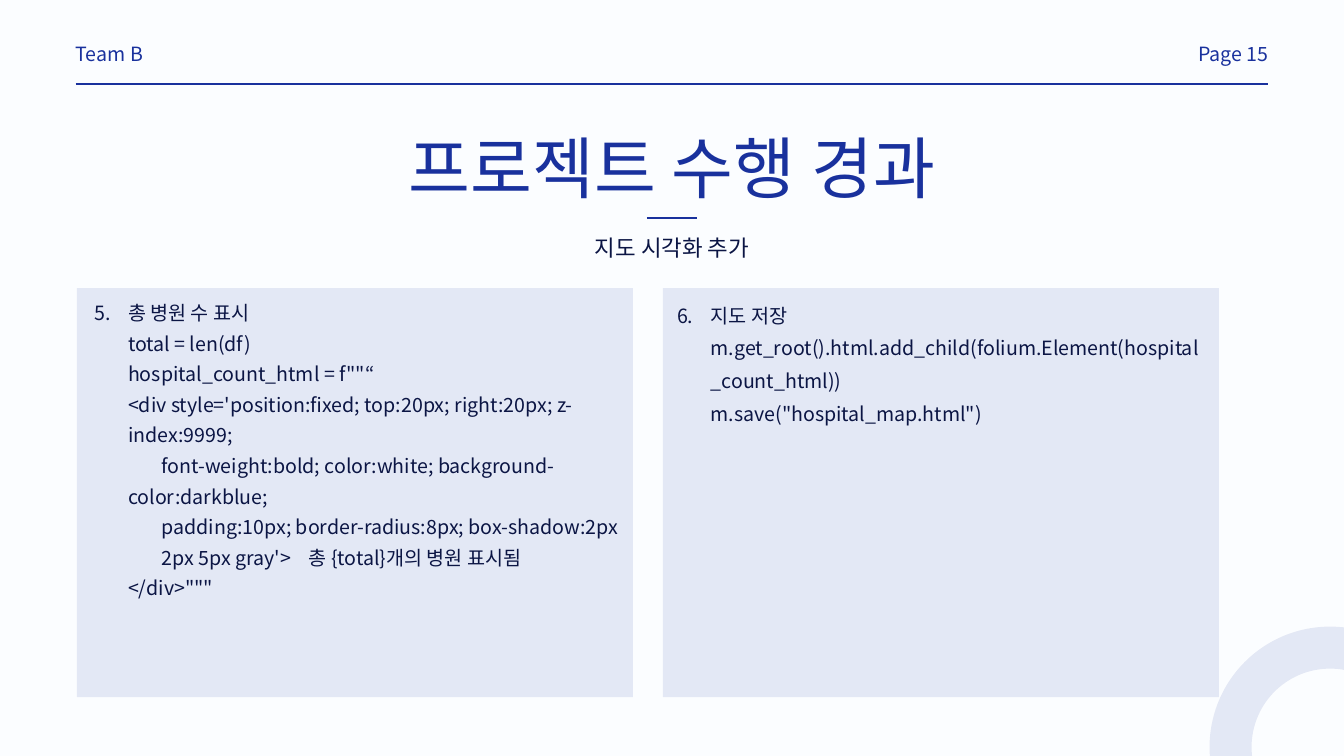
import copy

import pptx
import pptx.dml.color
import pptx.enum.shapes
import pptx.enum.text
import pptx.oxml
import pptx.oxml.ns
import pptx.util
from lxml import etree

BLUE = pptx.dml.color.RGBColor(0x19, 0x31, 0x9D)
NAVY = pptx.dml.color.RGBColor(0x0B, 0x15, 0x44)
PAPER = pptx.dml.color.RGBColor(0xFB, 0xFD, 0xFF)
SANS = "Noto Sans CJK KR"
DISPLAY = "Karla"
ALIGN = pptx.enum.text.PP_ALIGN
SHAPE = pptx.enum.shapes.MSO_SHAPE
COLUMNS, ROWS = 160, 90
LEFT, RIGHT, CENTER = 9, 151, 80
MARGIN = 0.5

COUNT_CODE = """총 병원 수 표시
total = len(df)
hospital_count_html = f""“
<div style='position:fixed; top:20px; right:20px; z-\tindex:9999;
\tfont-weight:bold; color:white; background-\tcolor:darkblue;
\tpadding:10px; border-radius:8px; box-shadow: \t2px \t2px 5px gray'>    총 {total}개의 병원 표시됨
</div>\"""
"""
SAVE_CODE = """지도 저장
m.get_root().html.add_child(folium.Element(hospital_count_html))
m.save("hospital_map.html")
"""


def grid(cells):
    return pptx.util.Inches(round(cells * 20 / COLUMNS, 3))


def place(shape, box):
    shape.left, shape.top, shape.width, shape.height = map(grid, box)


def add_child(parent, tag, **attributes):
    child = etree.SubElement(parent, pptx.oxml.ns.qn(tag))
    for name, value in attributes.items():
        child.set(name, value)
    return child


def make_translucent(color_format, percent):
    color = color_format._xFill.find(pptx.oxml.ns.qn("a:srgbClr"))
    add_child(color, "a:alpha", val=str(percent * 1000))


def number_list(para, start):
    properties = para._p.get_or_add_pPr()
    indent = pptx.util.Inches(0.5)
    properties.set("marL", str(indent))
    properties.set("indent", str(-indent))
    add_child(properties, "a:buFont", typeface=SANS)
    add_child(properties, "a:buAutoNum", type="arabicPeriod", startAt=str(start))


def write(shape, text, size=21, color=BLUE, font=SANS, align=ALIGN.LEFT, spacing=1.0, start=None):
    frame = shape.text_frame
    frame.auto_size = pptx.enum.text.MSO_AUTO_SIZE.NONE
    frame.word_wrap = True
    frame.vertical_anchor = pptx.enum.text.MSO_ANCHOR.TOP
    frame.margin_left = frame.margin_right = frame.margin_top = frame.margin_bottom = 0
    para = frame.paragraphs[0]
    para.text = text
    if start is not None:
        number_list(para, start)
    para.alignment = align
    para.line_spacing = spacing
    para.space_before = pptx.util.Pt(0)
    for span in para.runs:
        span.font.size = pptx.util.Pt(size)
        span.font.name = font
        span.font.color.rgb = color
        add_child(span._r.rPr, "a:ea", typeface=font)
    for line_break in para._p.findall(pptx.oxml.ns.qn("a:br")):
        line_break.insert(0, copy.deepcopy(para.runs[0]._r.rPr))


def add_label(page, box, text, **style):
    label = page.shapes.add_textbox(*map(grid, box))
    write(label, text, **style)


def add_rule(page, start, end, row):
    rule = page.shapes.add_connector(
        pptx.enum.shapes.MSO_CONNECTOR.STRAIGHT, grid(start), grid(row), grid(end), grid(row))
    rule.line.color.rgb = BLUE
    rule.line.width = pptx.util.Pt(2.25)
    add_child(rule._element.spPr, "a:effectLst")


def add_header(page, box):
    left, top, width, height = box
    label_width = 39
    exact = pptx.util.Pt(32.1)
    add_label(page, (left, top, label_width, 3.4), "Team B", spacing=exact)
    add_label(page, (left + width - label_width, top, label_width, 3.4), "Page 15",
              align=ALIGN.RIGHT, spacing=exact)
    add_rule(page, left, left + width, top + height)


def add_heading(page, box):
    left, top, width, height = box
    title = page.shapes.title
    place(title, (left, top, width, 8))
    write(title, "프로젝트 수행 경과", size=72, font=DISPLAY, align=ALIGN.CENTER,
          spacing=pptx.util.Pt(70.5))
    add_rule(page, CENTER - 3, CENTER + 3, top + 9.2)
    add_label(page, (left, top + height - 4, width, 4), "지도 시각화 추가", size=24, color=NAVY,
              align=ALIGN.CENTER, spacing=pptx.util.Pt(36.7))


def add_code_panel(page, body, box, inset, code, start, spacing):
    left, top, width, height = box
    panel = page.shapes.add_shape(SHAPE.RECTANGLE, *map(grid, box))
    panel.shadow.inherit = False
    panel.fill.solid()
    panel.fill.fore_color.rgb = BLUE
    make_translucent(panel.fill.fore_color, 10)
    panel.line.fill.background()
    place(body, (left + inset, top + 0.7, width - inset - 1.6, height - 1.4))
    write(body, code.rstrip(), color=NAVY, spacing=spacing, start=start)
    page.shapes._spTree.append(body._element)


def add_corner_ring(page, box):
    ring = page.shapes.add_shape(SHAPE.OVAL, *map(grid, box))
    ring.shadow.inherit = False
    ring.fill.background()
    ring.line.color.rgb = BLUE
    make_translucent(ring.line.color, 10)
    ring.line.width = pptx.util.Pt(45)


def main():
    deck = pptx.Presentation()
    deck.slide_width, deck.slide_height = grid(COLUMNS), grid(ROWS)
    page = deck.slides.add_slide(deck.slide_layouts.get_by_name("Two Content"))
    page.background.fill.solid()
    page.background.fill.fore_color.rgb = PAPER

    add_corner_ring(page, (146.5, 77.1, 23.7, 23.7))
    add_header(page, (LEFT, 4.2, RIGHT - LEFT, 5.8))
    add_heading(page, (43.3, 16.8, 73.4, 14.2))
    panels = ((COUNT_CODE, 5, 1.3, 2.1), (SAVE_CODE, 6, 1.4, 1.7))
    width, gap = 66.2, 3.55
    for index, (code, start, spacing, inset) in enumerate(panels):
        box = (LEFT + 0.15 + index * (width + gap), 34.3, width, 48.7)
        add_code_panel(page, page.placeholders[index + 1], box, inset, code, start, spacing)
    deck.save("out.pptx")


if __name__ == "__main__":
    main()
